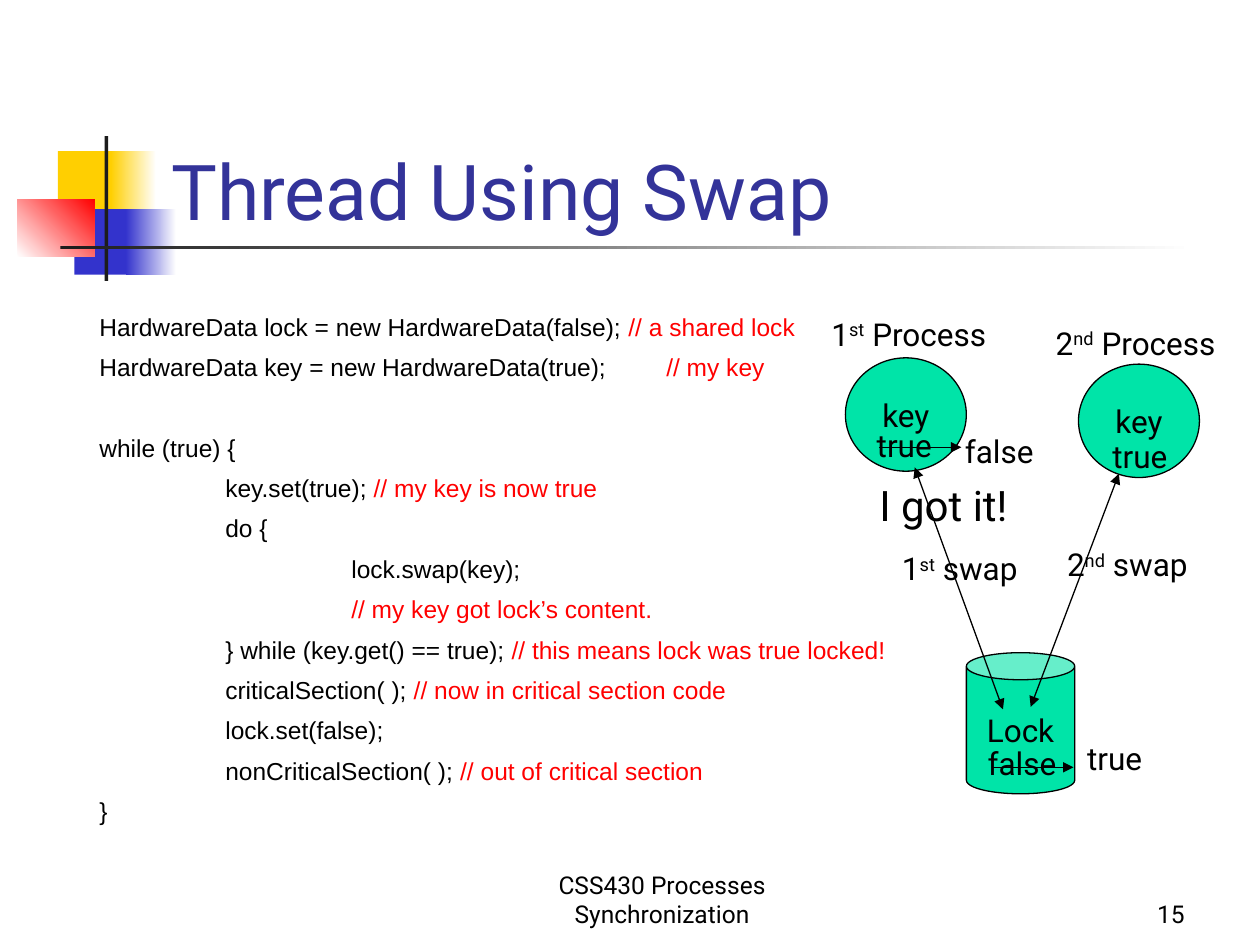
"""Build the slide that explains how a thread locks with swap."""
from dataclasses import dataclass

from lxml import etree
from pptx import Presentation
from pptx.dml.color import RGBColor
from pptx.enum.shapes import MSO_CONNECTOR, MSO_SHAPE
from pptx.enum.text import MSO_ANCHOR, PP_ALIGN
from pptx.oxml.ns import qn
from pptx.util import Inches, Pt

RECT, OVAL, CAN = MSO_SHAPE.RECTANGLE, MSO_SHAPE.OVAL, MSO_SHAPE.CAN
LEFT, CENTER, RIGHT = PP_ALIGN.LEFT, PP_ALIGN.CENTER, PP_ALIGN.RIGHT
TOP, MIDDLE, BOTTOM = MSO_ANCHOR.TOP, MSO_ANCHOR.MIDDLE, MSO_ANCHOR.BOTTOM
STRAIGHT = MSO_CONNECTOR.STRAIGHT
COLUMNS, ROWS = 100, 75
CELL = Inches(0.1)


@dataclass(frozen=True)
class Theme:
    white: str = "FFFFFF"
    black: str = "000000"
    title: str = "333399"
    comment: str = "FF0000"
    node: str = "00E4A8"
    yellow: str = "FFCF01"
    blue: str = "3333CC"
    red: str = "FF0000"
    rule: str = "1C1C1C"
    font: str = "Roboto"
    code_font: str = "Arial"
    title_size: float = 44
    shout_size: float = 24
    label_size: float = 18
    small_size: float = 14
    line_width: float = 0.75
    code_spacing: float = 0.85
    code_gap: float = 8.8
    code_blank: float = 23


@dataclass(frozen=True)
class Area:
    col: float
    row: float
    cols: float
    rows: float

    def emu(self) -> tuple[int, ...]:
        return tuple(round(n * CELL) for n in (self.col, self.row, self.cols, self.rows))


@dataclass(frozen=True)
class Ornament:
    area: Area
    start: str
    end: str = ""
    angle: float = 0


@dataclass(frozen=True)
class Node:
    kind: int
    area: Area
    name: str


@dataclass(frozen=True)
class Label:
    area: Area
    text: str
    ordinal: str = ""
    rest: str = ""
    size: float = Theme.label_size
    color: str = Theme.black
    align: int = LEFT
    anchor: int = TOP
    wrap: bool = False


@dataclass(frozen=True)
class Arrow:
    start: tuple[float, float]
    end: tuple[float, float]
    both: bool = False


@dataclass(frozen=True)
class CodeLine:
    depth: int
    code: str
    comment: str = ""
    after_blank: bool = False
    comment_stop: float = 0


THEME = Theme()
ORNAMENTS = (
    Ornament(Area(4.6, 12, 4.8, 5.2), THEME.yellow),
    Ornament(Area(8.8, 12, 3.6, 5.2), THEME.yellow, THEME.white),
    Ornament(Area(5.9, 16.6, 4.6, 5.2), THEME.blue),
    Ornament(Area(10, 16.6, 4, 5.2), THEME.blue, THEME.white),
    Ornament(Area(1.4, 15.8, 6.1, 4.6), THEME.white, THEME.red, 45),
    Ornament(Area(8.3, 10.8, 0.3, 11.5), THEME.rule),
    Ornament(Area(4.8, 19.5, 90, 0.3), THEME.rule, THEME.white),
)
CODE_AREA = Area(6.9, 24.6, 72, 41.4)
CODE = (
    CodeLine(0, "HardwareData lock = new HardwareData(false); ", "// a shared lock"),
    CodeLine(0, "HardwareData key = new HardwareData(true);", "// my key", comment_stop=4.18),
    CodeLine(0, "while (true) {", after_blank=True),
    CodeLine(1, "key.set(true); ", "// my key is now true"),
    CodeLine(1, "do {"),
    CodeLine(2, "lock.swap(key);"),
    CodeLine(2, "", "// my key got lock’s content."),
    CodeLine(1, "} while (key.get() == true); ", "// this means lock was true locked!"),
    CodeLine(1, "criticalSection( ); ", "// now in critical section code"),
    CodeLine(1, "lock.set(false);"),
    CodeLine(1, "nonCriticalSection( ); ", "// out of critical section"),
    CodeLine(0, "}"),
)
NODES = (
    Node(OVAL, Area(67.1, 28.4, 9.6, 9), "key"),
    Node(OVAL, Area(85.6, 28.9, 9.6, 9), "key"),
    Node(CAN, Area(76.7, 51.8, 8.6, 11.2), "Lock"),
)
ARROWS = (
    Arrow((72.6, 37.1), (79.6, 56.3), both=True),
    Arrow((88.8, 37.6), (81.8, 56.1), both=True),
    Arrow((78.7, 60.9), (85.2, 60.9)),
    Arrow((69.8, 35.5), (76.3, 35.5)),
)
LABELS = (
    Label(Area(12.6, 6.7, 85.2, 12.5), "Thread Using Swap", size=THEME.title_size,
          color=THEME.title, anchor=BOTTOM, wrap=True),
    Label(Area(36.7, 69.2, 31.7, 5), "CSS430 Processes Synchronization",
          size=THEME.small_size, align=CENTER, anchor=BOTTOM, wrap=True),
    Label(Area(74.2, 69.2, 20.8, 5), "15", size=THEME.small_size,
          align=RIGHT, anchor=BOTTOM, wrap=True),
    Label(Area(65, 24.5, 14.3, 4), "1", "st", " Process"),
    Label(Area(82.8, 25.2, 14.9, 4), "2", "nd", " Process"),
    Label(Area(70.6, 43.1, 11.4, 4), "1", "st", " swap"),
    Label(Area(83.7, 42.8, 11.9, 4), "2", "nd", " swap"),
    Label(Area(68.6, 33.3, 6.9, 4), "true"),
    Label(Area(87.3, 34.2, 6.9, 4), "true"),
    Label(Area(77.4, 58.6, 7.5, 4), "false"),
    Label(Area(85.3, 58.2, 6.9, 4), "true"),
    Label(Area(75.6, 33.8, 7.5, 4), "false"),
    Label(Area(68.8, 37.6, 13.1, 5), "I got it!", size=THEME.shout_size),
)


def style_run(run, size: float, color: str, font: str = THEME.font) -> None:
    run.font.size, run.font.name = Pt(size), font
    run.font.color.rgb = RGBColor.from_string(color)


def draw_ornament(slide, ornament: Ornament) -> None:
    bar = slide.shapes.add_shape(RECT, *ornament.area.emu())
    bar.shadow.inherit = False
    bar.line.fill.background()
    if ornament.end:
        bar.fill.gradient()
        bar.fill.gradient_angle = ornament.angle
        for stop, color in zip(bar.fill.gradient_stops, (ornament.start, ornament.end)):
            stop.color.rgb = RGBColor.from_string(color)
    else:
        bar.fill.solid()
        bar.fill.fore_color.rgb = RGBColor.from_string(ornament.start)


def draw_node(slide, node: Node) -> None:
    body = slide.shapes.add_shape(node.kind, *node.area.emu())
    body.shadow.inherit = False
    body.fill.solid()
    body.fill.fore_color.rgb = RGBColor.from_string(THEME.node)
    body.line.color.rgb = RGBColor.from_string(THEME.black)
    body.line.width = Pt(THEME.line_width)
    frame = body.text_frame
    frame.text, frame.word_wrap, frame.vertical_anchor = node.name, False, MIDDLE
    frame.paragraphs[0].alignment = CENTER
    style_run(frame.paragraphs[0].runs[0], THEME.label_size, THEME.black)


def draw_arrow(slide, arrow: Arrow) -> None:
    ends = [round(n * CELL) for n in (*arrow.start, *arrow.end)]
    link = slide.shapes.add_connector(STRAIGHT, *ends)
    link.line.color.rgb = RGBColor.from_string(THEME.black)
    link.line.width = Pt(THEME.line_width)
    outline = link.line._get_or_add_ln()
    for tip in ("a:headEnd", "a:tailEnd") if arrow.both else ("a:tailEnd",):
        etree.SubElement(outline, qn(tip), type="triangle")
    etree.SubElement(link._element.spPr, qn("a:effectLst"))


def draw_label(slide, label: Label) -> None:
    frame = slide.shapes.add_textbox(*label.area.emu()).text_frame
    frame.word_wrap, frame.vertical_anchor = label.wrap, label.anchor
    line = frame.paragraphs[0]
    line.text, line.alignment = label.text, label.align
    if label.ordinal:
        suffix, rest = line.add_run(), line.add_run()
        suffix.text, rest.text = label.ordinal, label.rest
        suffix.font._element.set("baseline", "30000")
    for run in line.runs:
        style_run(run, label.size, label.color)


def draw_code(slide, area: Area, lines: tuple[CodeLine, ...]) -> None:
    frame = slide.shapes.add_textbox(*area.emu()).text_frame
    frame.word_wrap = True
    for index, line in enumerate(lines):
        row = frame.add_paragraph() if index else frame.paragraphs[0]
        row.line_spacing = THEME.code_spacing
        row.space_before = Pt(THEME.code_gap + THEME.code_blank * line.after_blank)
        props = row._p.get_or_add_pPr()
        props.set("marL", str(Inches(line.depth)))
        props.set("indent", "0")
        code = line.code
        if line.comment_stop:
            stops = etree.SubElement(props, qn("a:tabLst"))
            etree.SubElement(stops, qn("a:tab"), pos=str(Inches(line.comment_stop)), algn="l")
            code += "\t"
        for text, color in ((code, THEME.black), (line.comment, THEME.comment)):
            if text:
                run = row.add_run()
                run.text = text
                style_run(run, THEME.small_size, color, THEME.code_font)


def main() -> None:
    deck = Presentation()
    deck.slide_width, deck.slide_height = COLUMNS * CELL, ROWS * CELL
    slide = deck.slides.add_slide(deck.slide_layouts[6])
    for ornament in ORNAMENTS:
        draw_ornament(slide, ornament)
    draw_code(slide, CODE_AREA, CODE)
    for node in NODES:
        draw_node(slide, node)
    for label in LABELS:
        draw_label(slide, label)
    for arrow in ARROWS:
        draw_arrow(slide, arrow)
    deck.save("out.pptx")


if __name__ == "__main__":
    main()
